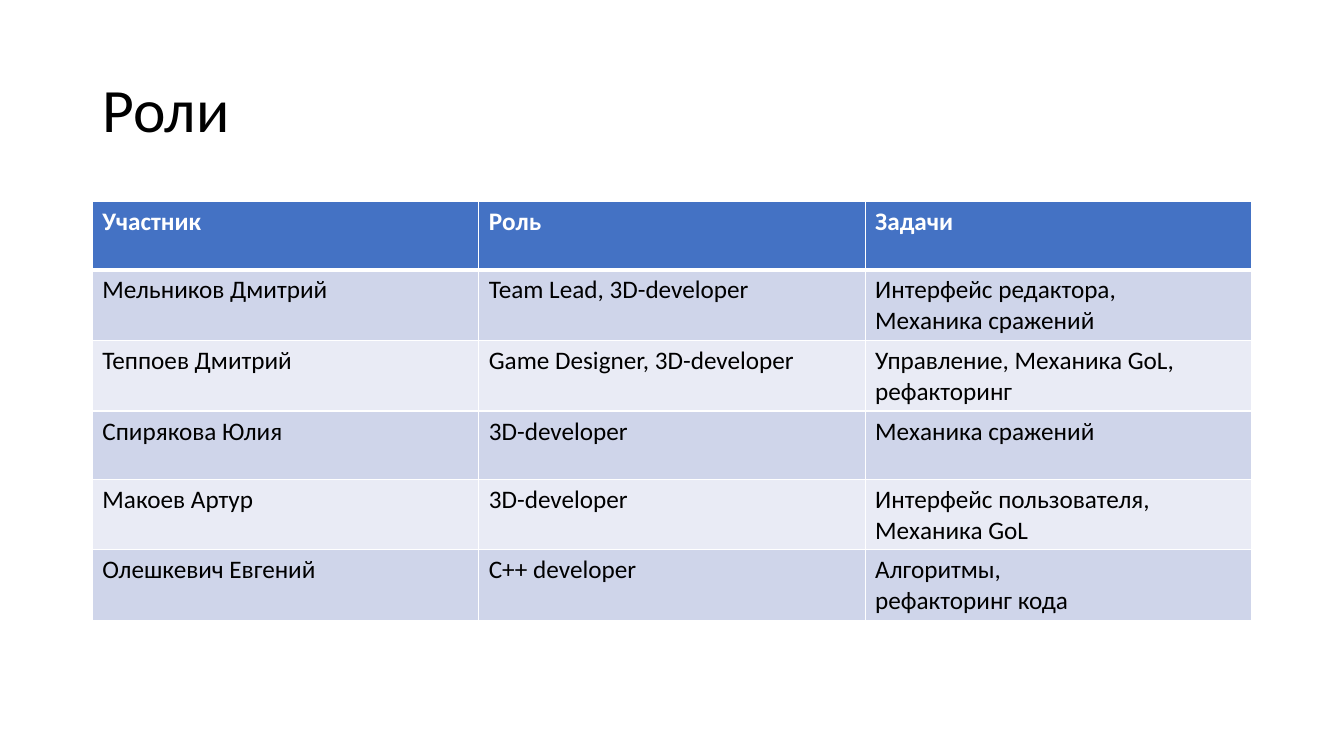
from lxml import etree
from pptx import Presentation
from pptx.dml.color import RGBColor
from pptx.enum.text import MSO_ANCHOR
from pptx.oxml.ns import qn
from pptx.util import Pt

PX = 9525
MIDDLE = MSO_ANCHOR.MIDDLE
FONT = "Calibri"
BLACK = RGBColor(0x00, 0x00, 0x00)
WHITE = RGBColor(0xFF, 0xFF, 0xFF)
BLUE = RGBColor(0x44, 0x72, 0xC4)
BANDS = (RGBColor(0xE9, 0xEB, 0xF5), RGBColor(0xCF, 0xD5, 0xEA))

LEFT, WIDTH = 88, 1104
ROW_H = 65
ROLES = (
    ("Участник", "Роль", "Задачи"),
    ("Мельников Дмитрий", "Team Lead, 3D-developer",
     "Интерфейс редактора,\nМеханика сражений"),
    ("Теппоев Дмитрий", "Game Designer, 3D-developer",
     "Управление, Механика GoL, рефакторинг"),
    ("Спирякова Юлия", "3D-developer", "Механика сражений"),
    ("Макоев Артур", "3D-developer",
     "Интерфейс пользователя, Механика GoL"),
    ("Олешкевич Евгений", "C++ developer",
     "Алгоритмы,\nрефакторинг кода"),
)


def px(*sizes):
    """Turn pixel lengths into EMU."""
    return [size * PX for size in sizes]


def style(para, size, color, bold=False):
    """Set the font of a paragraph."""
    font = para.font
    font.name, font.size, font.bold = FONT, Pt(size), bold
    font.color.rgb = color


def add_title(slide, text):
    """Add the slide heading."""
    box = slide.shapes.add_textbox(*px(LEFT, 38, WIDTH, 139))
    frame = box.text_frame
    frame.word_wrap = True
    frame.vertical_anchor = MIDDLE
    frame.text = text
    para = frame.paragraphs[0]
    para.line_spacing = 0.9
    style(para, 44, BLACK)


def add_edges(cell, top, bottom):
    """Draw white borders around a cell, with widths in points."""
    props = cell._tc.get_or_add_tcPr()
    edges = (("a:lnL", 1), ("a:lnR", 1), ("a:lnT", top), ("a:lnB", bottom))
    for spot, (tag, width) in enumerate(edges):
        line = etree.Element(qn(tag), w=str(Pt(width)))
        fill = etree.SubElement(line, qn("a:solidFill"))
        etree.SubElement(fill, qn("a:srgbClr"), val=str(WHITE))
        props.insert(spot, line)


def fill_cell(cell, text, row):
    """Write and format one cell according to its row."""
    head = row == 0
    cell.text = text
    cell.fill.solid()
    cell.fill.fore_color.rgb = BLUE if head else BANDS[row % 2]
    for para in cell.text_frame.paragraphs:
        style(para, 18, WHITE if head else BLACK, head)
    add_edges(cell, 3 if row == 1 else 1, 3 if head else 1)


def add_grid(slide, rows):
    """Add the table of members, roles and tasks."""
    count = len(rows)
    frame = slide.shapes.add_table(
        count, len(rows[0]), *px(LEFT, 192, WIDTH, ROW_H * count))
    for row, texts in enumerate(rows):
        for col, text in enumerate(texts):
            fill_cell(frame.table.cell(row, col), text, row)


def main():
    """Build and save the slide."""
    deck = Presentation()
    deck.slide_width, deck.slide_height = px(1280, 720)
    slide = deck.slides.add_slide(deck.slide_layouts[6])
    add_title(slide, "Роли")
    add_grid(slide, ROLES)
    deck.save("out.pptx")


if __name__ == "__main__":
    main()
